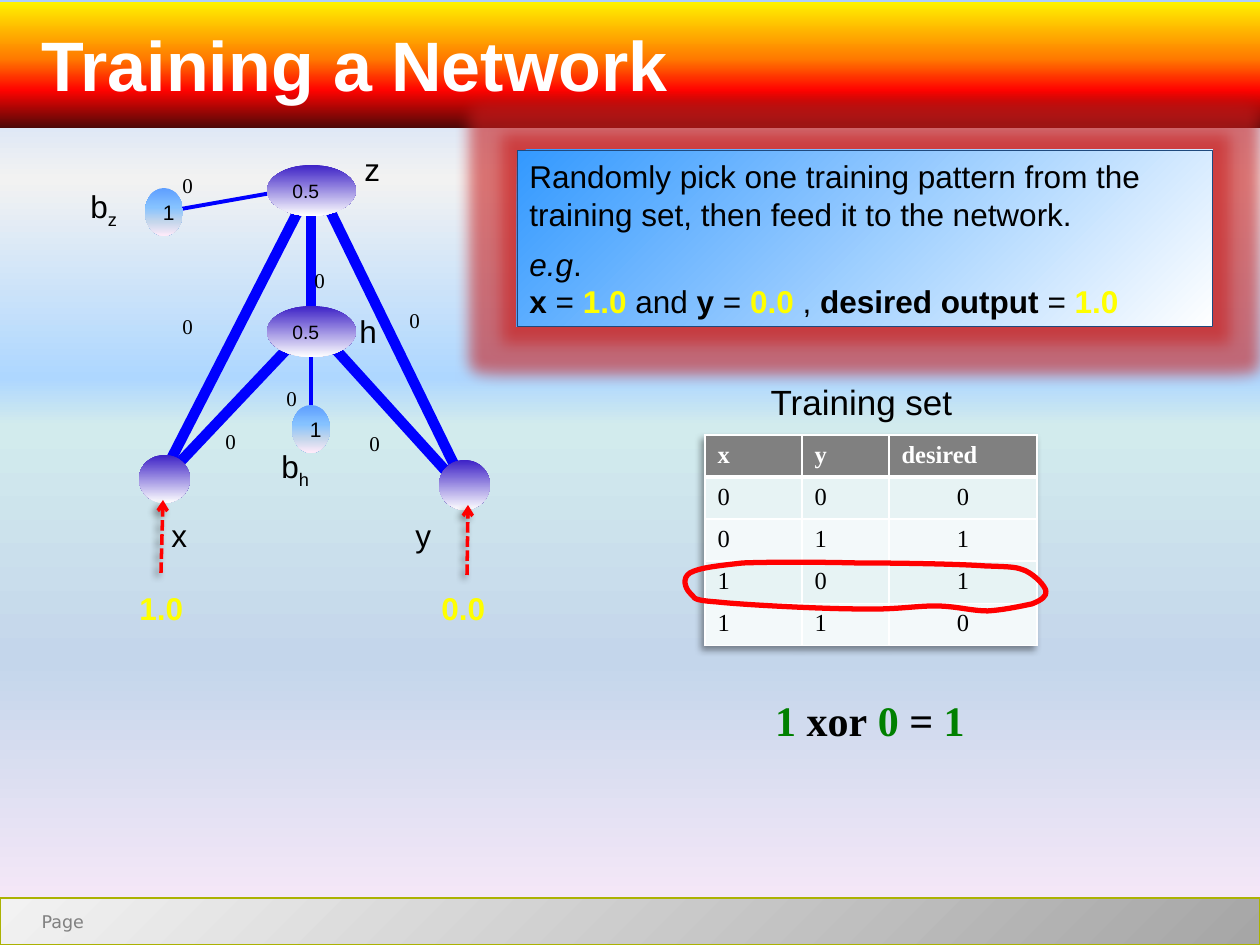
from dataclasses import dataclass

from lxml import etree
from pptx import Presentation
from pptx.dml.color import RGBColor
from pptx.enum.dml import MSO_LINE_DASH_STYLE as Dash
from pptx.enum.shapes import MSO_CONNECTOR as Connector, MSO_SHAPE as Shape
from pptx.enum.text import MSO_ANCHOR as Anchor, PP_ALIGN as Align
from pptx.oxml import parse_xml
from pptx.oxml.ns import nsdecls, qn
from pptx.util import Pt

EMU_PER_PX = 914400 / 126


@dataclass(frozen=True)
class Theme:
    sans: str = "Arial"
    serif: str = "Times New Roman"
    footer_font: str = "DejaVu Sans"
    title: int = 40
    equation: int = 24
    heading: int = 20
    body: int = 18
    cell: int = 14
    small: int = 12
    output: int = 11
    footer: int = 10
    black: str = "000000"
    white: str = "FFFFFF"
    red: str = "FF0000"
    blue: str = "0000FF"
    yellow: str = "FFFF00"
    green: str = "008000"
    gray: str = "808080"
    olive: str = "ABB202"
    navy: str = "1F497D"
    glow: str = "C81E1E"
    bands: tuple = ("E7F3F4", "F3F9FA")
    sky: tuple = ((0, "ADCEFF"), (19, "F2F2F2"), (40, "AED7FF"),
                  (45, "D2EBED"), (70, "C4D6EB"), (100, "FFEBFA"))
    fire: tuple = ((0, "FFF200"), (45, "FF7A00"), (70, "FF0300"), (100, "4D0808"))
    silver: tuple = ((0, "F2F2F2"), (100, "A6A6A6"))
    neuron: tuple = ((0, "3D22C6"), (100, "FFFFFF"))
    bias: tuple = ((0, "5E9EFF"), (40, "85C2FF"), (70, "C4D6EB"), (100, "FFEBFA"))
    callout: tuple = ((0, "3399FF"), (100, "FFFFFF"))


T = Theme()
SHADOW = ('<a:outerShdw blurRad="50800" dist="38100" dir="8100000">'
          '<a:srgbClr val="000000"><a:alpha val="40000"/></a:srgbClr></a:outerShdw>')
GLOW = f'<a:glow rad="228600"><a:srgbClr val="{T.glow}"><a:alpha val="60000"/></a:srgbClr></a:glow>'


def px(*values):
    emu = [round(v * EMU_PER_PX) for v in values]
    return emu if len(emu) > 1 else emu[0]


def rgb(value):
    return RGBColor.from_string(value)


def effects(inner=""):
    return parse_xml(f'<a:effectLst {nsdecls("a")}>{inner}</a:effectLst>')


def paint(fill, element, stops, angle=90):
    """Give a fill, held inside element, a linear gradient turned clockwise."""
    fill.gradient()
    fill.gradient_angle = 360 - angle
    gs_list = next(element.iter(qn("a:gsLst")))
    for gs in list(gs_list):
        gs_list.remove(gs)
    for pos, color in stops:
        gs = etree.SubElement(gs_list, qn("a:gs"), pos=str(pos * 1000))
        etree.SubElement(gs, qn("a:srgbClr"), val=color)


def style(font, size=None, name=None, color=None, bold=None, italic=None):
    if size:
        font.size = Pt(size)
    if name:
        font.name = name
    if color:
        font.color.rgb = rgb(color)
    if bold is not None:
        font.bold = bold
    if italic is not None:
        font.italic = italic


def write(p, runs, size, name=T.sans, color=T.black, bold=None, align=Align.LEFT):
    """Fill a paragraph from a string or from (text, run style) pairs."""
    p.alignment = align
    style(p.font, size, name, color, bold)
    for text, look in [(runs, {})] if isinstance(runs, str) else runs:
        r = p.add_run()
        r.text = text
        style(r.font, **look)


def add_text(slide, x, y, w, h, runs, size, **look):
    tf = slide.shapes.add_textbox(*px(x, y, w, h)).text_frame
    tf.word_wrap = True
    write(tf.paragraphs[0], runs, size, **look)
    return tf


def add_shape(slide, kind, x, y, w, h, stops, angle=90, line=None, line_width=0.75):
    sp = slide.shapes.add_shape(kind, *px(x, y, w, h))
    sp.shadow.inherit = False
    paint(sp.fill, sp._element, stops, angle)
    if line:
        sp.line.color.rgb = rgb(line)
        sp.line.width = Pt(line_width)
    else:
        sp.line.fill.background()
    return sp


def add_line(slide, x1, y1, x2, y2, color, width, effect=""):
    line = slide.shapes.add_connector(Connector.STRAIGHT, *px(x1, y1, x2, y2))
    line.line.color.rgb = rgb(color)
    line.line.width = Pt(width)
    line._element.spPr.append(effects(effect))
    return line


def add_banner(slide, x, y, w, h):
    tf = add_shape(slide, Shape.RECTANGLE, x, y, w, h, T.fire).text_frame
    tf.margin_left, tf.margin_top, tf.margin_right, tf.margin_bottom = px(44, 20, 0, 0)
    tf.vertical_anchor = Anchor.TOP
    write(tf.paragraphs[0], "Training a Network", T.title, color=T.white, bold=True)


def add_footer(slide, x, y, w, h):
    add_shape(slide, Shape.RECTANGLE, x, y, w, h, T.silver, 45, T.olive)
    tf = add_text(slide, x + 34, y + 13, 50, 21, "Page", T.footer,
                  name=T.footer_font, color=T.gray, align=Align.RIGHT)
    tf.margin_left = tf.margin_top = tf.margin_right = tf.margin_bottom = 0
    tf.word_wrap = False


def add_network(slide, x, y):
    edges = [(394, 345, 248, 46, 6), (94, 333, 241, 46, 6), (241, 190, 241, 53, 6),
             (94, 339, 235, 190, 6), (394, 351, 248, 190, 6),
             (94, 72, 241, 46, 2.25), (241, 290, 241, 196, 2.25)]
    for x1, y1, x2, y2, width in edges:
        add_line(slide, x + x1, y + y1, x + x2, y + y2, T.blue, width)

    nodes = [(197, 25, 89, 51, T.neuron, "0.5", T.output),
             (197, 166, 89, 51, T.neuron, "0.5", T.output),
             (69, 315, 51, 48, T.neuron, "", 0), (369, 320, 51, 50, T.neuron, "", 0),
             (75, 48, 38, 48, T.bias, "1", T.small), (222, 265, 38, 48, T.bias, "1", T.small)]
    for dx, dy, w, h, stops, value, size in nodes:
        sp = add_shape(slide, Shape.OVAL, x + dx, y + dy, w, h, stops)
        if value:
            write(sp.text_frame.paragraphs[0], value, size)

    for dx, dy in [(327, 161), (100, 167), (143, 282), (204, 239),
                   (232, 121), (287, 284), (100, 26)]:
        add_text(slide, x + dx, y + dy, 40, 38, "0", T.small, name=T.serif)

    for dx, dy, name, sub in [(89, 370, "x", ""), (333, 370, "y", ""), (282, 4, "z", ""),
                              (277, 166, "h", ""), (199, 301, "b", "h"), (8, 41, "b", "z")]:
        tf = add_text(slide, x + dx, y + dy, 63, 50, name, T.body)
        if sub:
            r = tf.paragraphs[0].add_run()
            r.text = sub
            r.font._element.set("baseline", "-25000")

    for x1, y1, x2, y2 in [(91, 433, 93, 360), (397, 435, 398, 365)]:
        arrow = add_line(slide, x + x1, y + y1, x + x2, y + y2, T.red, 2, SHADOW)
        arrow.line.dash_style = Dash.SQUARE_DOT
        etree.SubElement(arrow.line._get_or_add_ln(), qn("a:tailEnd"), type="arrow")
    for dx, value in [(57, "1.0"), (359, "0.0")]:
        add_text(slide, x + dx, y + 443, 75, 50, value, T.body, color=T.yellow, bold=True)


def add_callout(slide, x, y, w, h):
    sp = add_shape(slide, Shape.RECTANGLE, x, y, w, h, T.callout, 45, T.navy, 0.5)
    sp._element.spPr.replace(sp._element.spPr.find(qn("a:effectLst")), effects(GLOW))
    tf = sp.text_frame
    bold, value = {"bold": True}, {"color": T.yellow, "bold": True}
    lines = ["Randomly pick one training pattern from the training set, then feed it to the network.",
             [("e.g", {"italic": True}), (".", {})],
             [("x", bold), (" = ", {}), ("1.0", value), (" and ", {}), ("y", bold), (" = ", {}),
              ("0.0 ", value), (", ", {}), ("desired output ", bold), ("= ", {}), ("1.0", value)]]
    for i, runs in enumerate(lines):
        p = tf.add_paragraph() if i else tf.paragraphs[0]
        write(p, runs, T.body)
    tf.paragraphs[1].space_before = Pt(7)


def add_borders(cell, bottom):
    tc_pr = cell._tc.get_or_add_tcPr()
    for i, (side, width) in enumerate([("L", 1), ("R", 1), ("T", 1), ("B", bottom)]):
        tc_pr.insert(i, parse_xml(
            f'<a:ln{side} {nsdecls("a")} w="{Pt(width)}"><a:solidFill>'
            f'<a:srgbClr val="{T.white}"/></a:solidFill></a:ln{side}>'))


def add_truth_table(slide, x, y):
    rows = [("x", "y", "desired"), "000", "011", "101", "110"]
    widths, row_height = (97, 87, 148), 42
    frame = slide.shapes.add_table(len(rows), len(widths),
                                   *px(x, y, sum(widths), row_height * len(rows)))
    table = frame.table
    table._tbl.tblPr.insert(0, effects(SHADOW))
    for column, width in zip(table.columns, widths):
        column.width = px(width)
    for i, row in enumerate(rows):
        table.rows[i].height = px(row_height)
        for j, value in enumerate(row):
            cell = table.cell(i, j)
            cell.fill.solid()
            cell.fill.fore_color.rgb = rgb(T.bands[(i - 1) % 2] if i else T.gray)
            add_borders(cell, 1 if i else 3)
            write(cell.text_frame.paragraphs[0], value, T.cell, name=T.serif,
                  color=T.black if i else T.white, bold=not i,
                  align=Align.CENTER if i and j == 2 else Align.LEFT)


def add_ring(slide, x, y):
    """Draw the hand-drawn loop round the chosen pattern."""
    start, *knots = [
        (10, 203), (19, 198), (36, 196), (63, 193), (91, 192), (135, 192), (177, 193),
        (217, 193), (278, 194), (305, 196), (334, 197), (336, 197), (346, 201),
        (356, 206), (365, 216), (366, 221), (367, 226), (362, 230), (352, 234),
        (342, 236), (324, 240), (308, 241), (291, 241), (276, 236), (255, 236),
        (234, 236), (216, 240), (179, 239), (144, 239), (65, 235), (37, 232),
        (8, 230), (16, 227), (10, 223), (5, 218), (2, 208), (10, 203)]
    builder = slide.shapes.build_freeform(*px(x + start[0], y + start[1]))
    builder.add_line_segments([px(x + dx, y + dy) for dx, dy in knots], close=True)
    ring = builder.convert_to_shape()
    segments = list(ring._element.iter(qn("a:lnTo")))
    for i in range(0, len(segments), 3):
        curve = etree.Element(qn("a:cubicBezTo"))
        segments[i].addprevious(curve)
        for segment in segments[i:i + 3]:
            curve.append(segment[0])
            segment.getparent().remove(segment)
    ring.shadow.inherit = False
    ring.fill.background()
    ring.line.color.rgb = rgb(T.red)
    ring.line.width = Pt(3)


def add_training_set(slide, x, y):
    add_text(slide, x + 67, y + 4, 229, 55, "Training set", T.heading, align=Align.CENTER)
    add_truth_table(slide, x + 25, y + 65)
    add_ring(slide, x, y)
    green = {"color": T.green}
    add_text(slide, x + 70, y + 318, 240, 63,
             [("1 ", green), ("xor", {}), (" 0 ", green), ("=", {}), (" 1", green)],
             T.equation, name=T.serif, bold=True, align=Align.CENTER)


def main():
    prs = Presentation()
    prs.slide_width, prs.slide_height = px(1260, 945)
    slide = prs.slides.add_slide(prs.slide_layouts[6])
    paint(slide.background.fill, slide._element, T.sky)
    add_footer(slide, 0, 898, 1260, 47)
    add_network(slide, 70, 140)
    add_banner(slide, -2, 2, 1262, 126)
    add_callout(slide, 517, 150, 696, 177)
    add_training_set(slide, 680, 370)
    prs.save("out.pptx")


if __name__ == "__main__":
    main()
